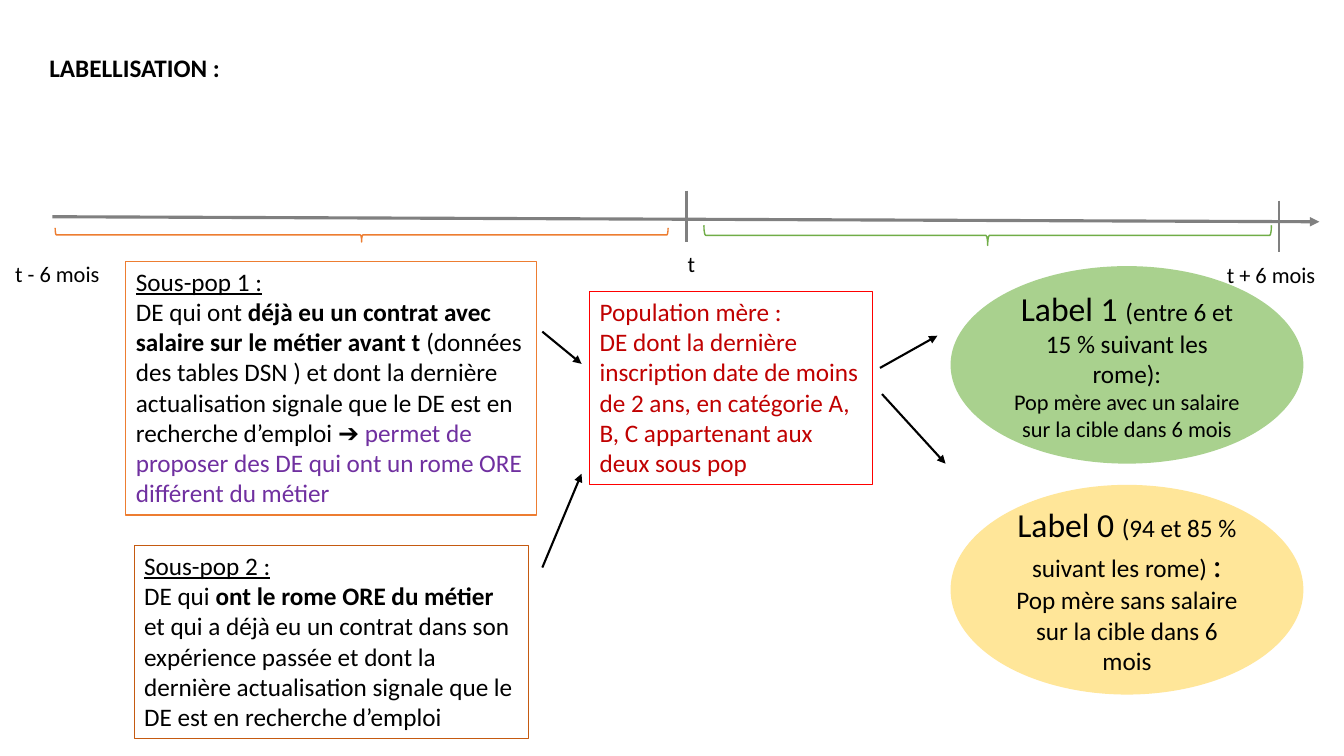
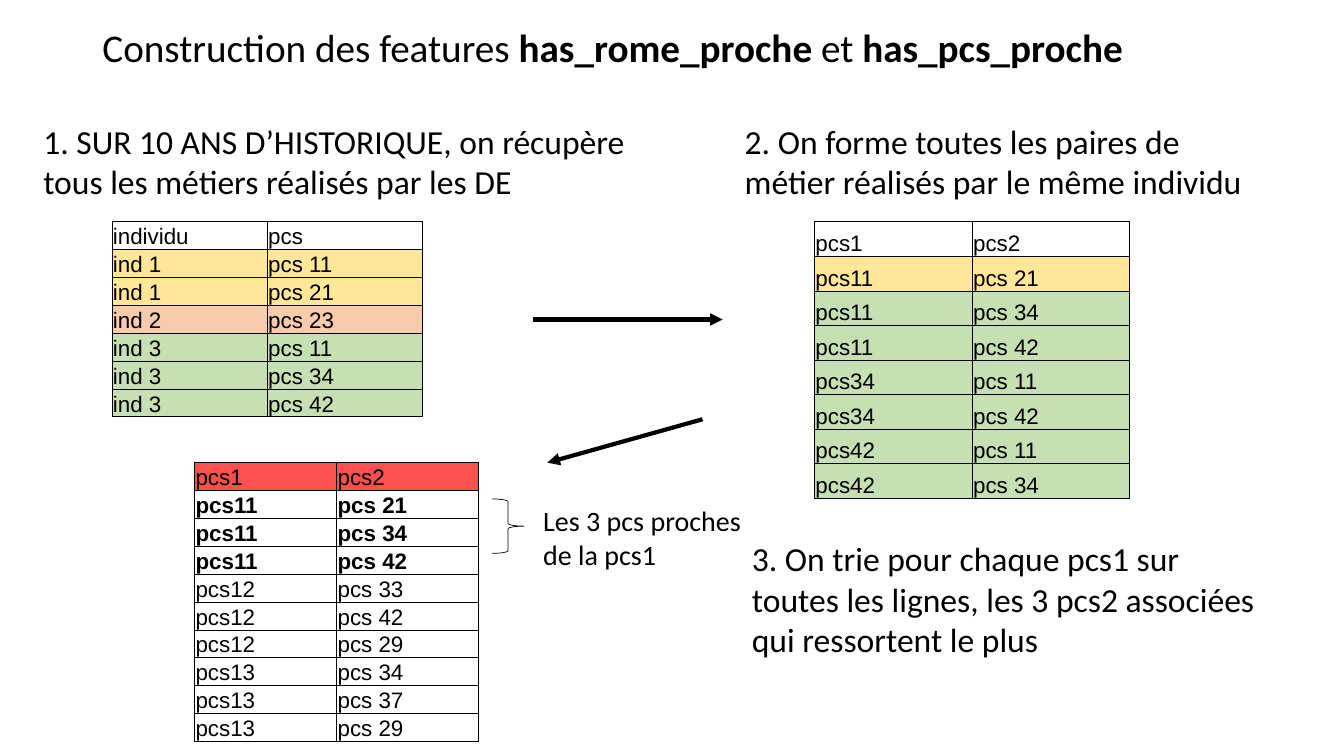
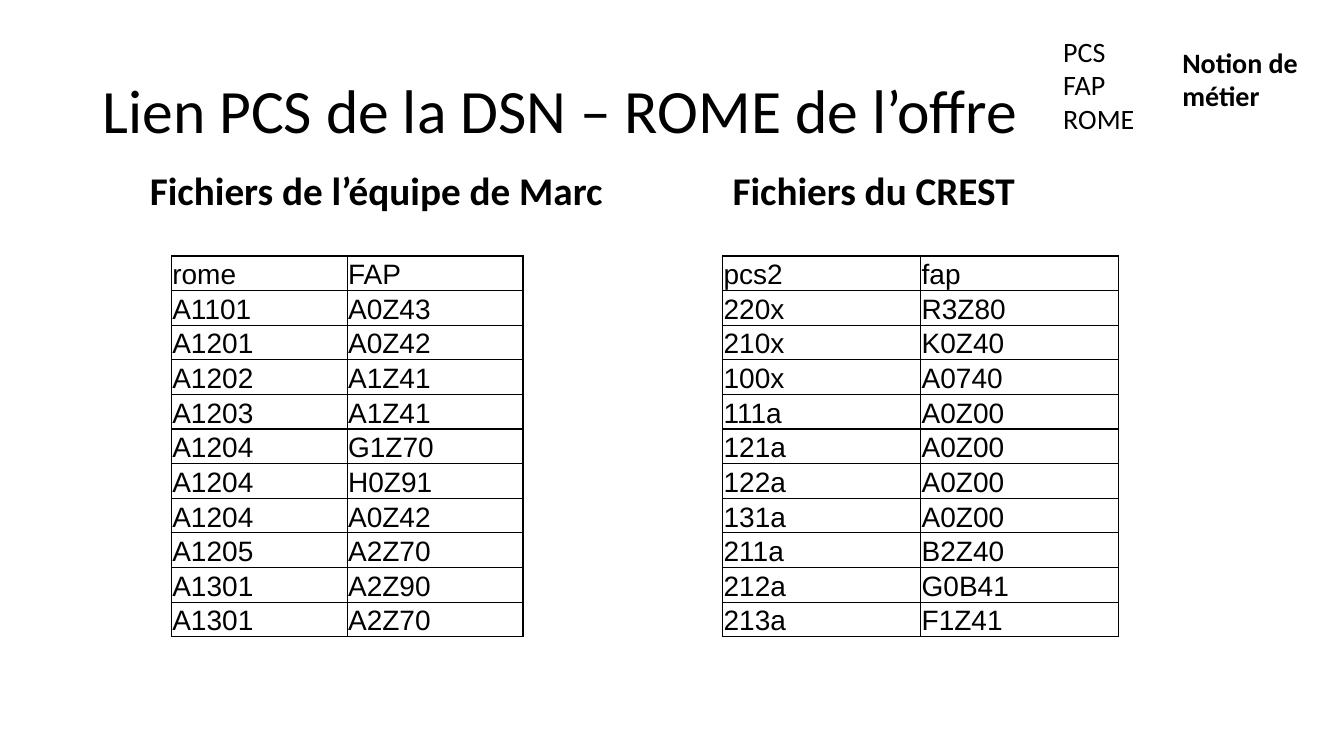
from lxml import etree
from pptx import Presentation
from pptx.dml.color import RGBColor
from pptx.enum import shapes, text
from pptx.oxml import ns
from pptx.util import Pt

BLACK = RGBColor(0x00, 0x00, 0x00)
GREY = RGBColor(0x80, 0x80, 0x80)
RED = RGBColor(0xFF, 0x00, 0x00)
DARK_RED = RGBColor(0xC0, 0x00, 0x00)
PURPLE = RGBColor(0x70, 0x30, 0xA0)
ORANGE = RGBColor(0xED, 0x7D, 0x31)
BROWN = RGBColor(0xC5, 0x5A, 0x11)
GREEN = RGBColor(0x70, 0xAD, 0x47)
MID_GREEN = RGBColor(0xA9, 0xD1, 0x8E)
PALE_GREEN = RGBColor(0xC6, 0xE0, 0xB4)
YELLOW = RGBColor(0xFF, 0xE6, 0x99)
PEACH = RGBColor(0xF8, 0xCB, 0xAD)
CORAL = RGBColor(0xFF, 0x50, 0x50)

BODY_FONT, TABLE_FONT = "Calibri", "Arial"
LEFT, CENTER = text.PP_ALIGN.LEFT, text.PP_ALIGN.CENTER
TOP, MIDDLE, BOTTOM = (text.MSO_ANCHOR.TOP, text.MSO_ANCHOR.MIDDLE,
                       text.MSO_ANCHOR.BOTTOM)
SHAPE = shapes.MSO_SHAPE
TITLE_ONLY = 5


def pts(*values):
    return [Pt(v) for v in values]


# ---- Shared helpers ----
def write(tf, paras, size=18, color=BLACK, bold=False, underline=False,
          font=BODY_FONT, align=LEFT, spacing=None):
    """Each paragraph is a string or a list of (text, overrides) runs."""
    for i, para in enumerate(paras):
        p = tf.paragraphs[0] if i == 0 else tf.add_paragraph()
        p.alignment = align
        if spacing:
            p.line_spacing = spacing
        for words, own in [(para, {})] if isinstance(para, str) else para:
            r = p.add_run()
            r.text = words
            r.font.name = font
            r.font.size = Pt(own.get("size", size))
            r.font.bold = own.get("bold", bold)
            r.font.underline = own.get("underline", underline)
            r.font.color.rgb = own.get("color", color)


def add_text(s, box, *paras, **fmt):
    tf = s.shapes.add_textbox(*pts(*box)).text_frame
    tf.word_wrap = True
    write(tf, paras, **fmt)


def add_slide(prs, box, title, anchor=TOP, **fmt):
    s = prs.slides.add_slide(prs.slide_layouts[TITLE_ONLY])
    sp = s.shapes.title
    sp.left, sp.top, sp.width, sp.height = pts(*box)
    tf = sp.text_frame
    tf.word_wrap = True
    tf.auto_size = text.MSO_AUTO_SIZE.NONE
    tf.vertical_anchor = anchor
    write(tf, [title], **fmt)
    return s


def add_shape(s, kind, box, fill=None, line=None, width=0.75):
    sp = s.shapes.add_shape(kind, *pts(*box))
    sp.shadow.inherit = False
    if fill is None:
        sp.fill.background()
    else:
        sp.fill.solid()
        sp.fill.fore_color.rgb = fill
    if line is None:
        sp.line.fill.background()
    else:
        sp.line.color.rgb = line
        sp.line.width = Pt(width)
    return sp


def add_panel(s, kind, box, paras, anchor=TOP, fill=None, line=None, **fmt):
    tf = add_shape(s, kind, box, fill, line).text_frame
    tf.word_wrap = True
    tf.vertical_anchor = anchor
    write(tf, paras, **fmt)


def add_brace_below(s, box, color):
    """Brace lying under a span, its tip pointing down."""
    left, top, width, height = box
    upright = (left + (width - height) / 2, top + (height - width) / 2,
               height, width)
    add_shape(s, SHAPE.LEFT_BRACE, upright, line=color, width=1).rotation = 270


def add_line(s, start, end, color=BLACK, width=1.5, arrow=True):
    c = s.shapes.add_connector(shapes.MSO_CONNECTOR.STRAIGHT,
                               *pts(*start, *end))
    c.line.color.rgb = color
    c.line.width = Pt(width)
    if arrow:
        etree.SubElement(c.line._get_or_add_ln(), ns.qn("a:tailEnd"),
                         type="triangle")
    etree.SubElement(c._element.spPr, ns.qn("a:effectLst"))


def add_borders(cell, width):
    tc_pr = cell._tc.get_or_add_tcPr()
    for side in ("lnL", "lnR", "lnT", "lnB"):
        ln = etree.SubElement(tc_pr, ns.qn("a:" + side), w=str(Pt(width)))
        fill = etree.SubElement(ln, ns.qn("a:solidFill"))
        etree.SubElement(fill, ns.qn("a:srgbClr"), val=str(BLACK))


def add_table(s, left, top, col_w, row_h, rows, size=16, border=0.5,
              fills=None, bold_rows=()):
    """fills maps a row number to its colour."""
    n_cols = len(rows[0])
    frame = s.shapes.add_table(len(rows), n_cols, *pts(
        left, top, col_w * n_cols, row_h * len(rows)))
    table = frame.table
    table.first_row = table.horz_banding = False
    for column in table.columns:
        column.width = Pt(col_w)
    for i, row in enumerate(rows):
        table.rows[i].height = Pt(row_h)
        for j, value in enumerate(row):
            cell = table.cell(i, j)
            cell.margin_left = cell.margin_right = cell.margin_top = Pt(0.7)
            cell.margin_bottom = 0
            cell.vertical_anchor = BOTTOM
            add_borders(cell, border)
            if fills and i in fills:
                cell.fill.solid()
                cell.fill.fore_color.rgb = fills[i]
            else:
                cell.fill.background()
            write(cell.text_frame, [value], size=size, font=TABLE_FONT,
                  bold=i in bold_rows)


# ---- Slide 1: labelling ----
def timeline(s, left, top, width):
    now, horizon = left + 453, left + 876.5
    add_line(s, (left, top), (left + width, top + 3.6), GREY, 2.25)
    for x, y in ((horizon, top - 11.5), (now, top - 18.7)):
        add_line(s, (x, y), (x, y + 36.7), GREY, 1.5, arrow=False)
    add_brace_below(s, (left + 2, top + 8, 437.8, 10), ORANGE)
    add_brace_below(s, (left + 465.4, top + 6.1, 405.4, 14.4), GREEN)
    for x, y, w, label in ((now - 41.2, 20.2, 89.3, "t"),
                           (left - 36, 27.4, 79.2, "t - 6 mois")):
        add_text(s, (x, top + y, w, 26.6), label, size=16, align=CENTER)


def populations(s):
    head, strong = {"underline": True}, {"bold": True}
    add_panel(s, SHAPE.RECTANGLE, (421.2, 208.1, 202.3, 138.2), [
        "Population mère :",
        "DE dont la dernière inscription date de moins de 2 ans, en catégorie "
        "A, B, C appartenant aux deux sous pop",
    ], line=RED, color=DARK_RED)
    add_panel(s, SHAPE.RECTANGLE, (90, 186.5, 293, 181.4), [
        [("Sous-pop 1 :", head)],
        [("DE qui ont ", {}),
         ("déjà eu un contrat avec salaire sur le métier avant t ", strong),
         ("(données des tables DSN ) et dont la dernière actualisation "
          "signale que le DE est en recherche d’emploi ➔ ", {}),
         ("permet de proposer des DE qui ont un rome ORE différent du métier",
          {"color": PURPLE})],
    ], line=ORANGE)
    add_panel(s, SHAPE.RECTANGLE, (95.8, 389.5, 281.5, 138.2), [
        [("Sous-pop 2 :", head)],
        [("DE qui ", {}), ("ont le rome ORE du métier ", strong),
         ("et qui a déjà eu un contrat dans son expérience passée et dont la "
          "dernière actualisation signale que le DE est en recherche "
          "d’emploi", {})],
    ], line=BROWN)


def labels(s, left, width):
    big = {"size": 24}
    for top, height, fill, paras in (
        (190.1, 141.1, MID_GREEN, [
            [("Label 1 ", big), ("(entre 6 et 15 % suivant les rome):", {})],
            [("Pop mère avec un salaire sur la cible dans 6 mois",
              {"size": 16})]]),
        (346.3, 149.8, YELLOW, [
            [("Label 0 ", big), ("(94 et 85 % suivant les rome) ", {}),
             (":", big)],
            "Pop mère sans salaire sur la cible dans 6 mois"]),
    ):
        add_panel(s, SHAPE.OVAL, (left, top, width, height), paras,
                  anchor=MIDDLE, fill=fill, align=CENTER)


def labelling_slide(prs):
    s = add_slide(prs, (28, 34, 903, 29), "LABELLISATION :", bold=True)
    timeline(s, 37.4, 154.8, 905)
    populations(s)
    labels(s, 679, 252)
    for start, end in (((387.4, 236.9), (415.4, 259.9)),
                       ((387.4, 405.4), (415.4, 338.4)),
                       ((628.6, 262.8), (669.6, 239.8)),
                       ((630, 281.5), (675.4, 331.2))):
        add_line(s, start, end)
    add_text(s, (863.3, 182.9, 89.3, 26.6), "t + 6 mois", size=16,
             align=CENTER)


# ---- Slide 2: building the features ----
def history_step(s, left, top):
    add_text(s, (left, top, 445.7, 65.5),
             "1. SUR 10 ANS D’HISTORIQUE, on récupère tous les métiers "
             "réalisés par les DE", size=24)
    rows = [("individu", "pcs"), ("ind 1", "pcs 11"), ("ind 1", "pcs 21"),
            ("ind 2", "pcs 23"), ("ind 3", "pcs 11"), ("ind 3", "pcs 34"),
            ("ind 3", "pcs 42")]
    by_person = {"ind 1": YELLOW, "ind 2": PEACH, "ind 3": PALE_GREEN}
    fills = {i: by_person[row[0]] for i, row in enumerate(rows) if i}
    add_table(s, left + 56.2, top + 75.6, 110.9, 19.8, rows, fills=fills)


def pairs_step(s, left, top):
    add_text(s, (left, top, 377.3, 65.5),
             "2. On forme toutes les paires de métier réalisés par le même "
             "individu", size=24)
    rows = [("pcs1", "pcs2"), ("pcs11", "pcs 21"), ("pcs11", "pcs 34"),
            ("pcs11", "pcs 42"), ("pcs34", "pcs 11"), ("pcs34", "pcs 42"),
            ("pcs42", "pcs 11"), ("pcs42", "pcs 34")]
    fills = {i: YELLOW if i == 1 else PALE_GREEN for i in range(1, len(rows))}
    add_table(s, left + 56.9, top + 75.6, 112.6, 24.7, rows, fills=fills)


def ranking_step(s, left, top):
    add_text(s, (left + 391, top + 50.4, 377.3, 94.3),
             "3. On trie pour chaque pcs1 sur toutes les lignes, les 3 pcs2 "
             "associées qui ressortent le plus", size=24)
    closest = (("pcs11", (21, 34, 42)), ("pcs12", (33, 42, 29)),
               ("pcs13", (34, 37, 29)))
    rows = [("pcs1", "pcs2")] + [(job, f"pcs {n}") for job, near in closest
                                 for n in near]
    add_table(s, left, top, 101.5, 19.8, rows, fills={0: CORAL},
              bold_rows=(1, 2, 3))
    add_shape(s, SHAPE.RIGHT_BRACE, (left + 212.4, top + 25.9, 23, 38.9),
              line=BLACK, width=0.5)
    add_text(s, (left + 241.9, top + 25.9, 162, 55.4),
             "Les 3 pcs proches de la pcs1", size=20)


def features_slide(prs):
    strong = {"bold": True}
    s = add_slide(prs, (66, 16.6, 828, 45), [
        ("Construction des features ", {}), ("has_rome_proche ", strong),
        ("et ", {}), ("has_pcs_proche", strong)], size=28, spacing=0.9)
    history_step(s, 23.8, 82.8)
    pairs_step(s, 524.9, 82.8)
    ranking_step(s, 139, 330.5)
    add_line(s, (380.9, 228.2), (516.2, 228.2), width=3)
    add_line(s, (501.8, 299.5), (391, 330.5), width=3)


# ---- Slide 3: link between nomenclatures ----
def file_sample(s, left, top, heading, table_left, col_w, row_h, rows):
    add_text(s, (left, top, 339, 41), heading, size=28, bold=True)
    add_table(s, table_left, top + 67.7, col_w, row_h, rows, size=20,
              border=1)


def link_slide(prs):
    s = add_slide(prs, (66, 28.8, 828, 104.4),
                  "Lien PCS de la DSN – ROME de l’offre", anchor=MIDDLE,
                  size=44, spacing=0.9)
    file_sample(s, 516.2, 115.2, "Fichiers du CREST", 516.2, 141.5, 22.9, [
        ("pcs2", "fap"), ("220x", "R3Z80"), ("210x", "K0Z40"),
        ("100x", "A0740"), ("111a", "A0Z00"), ("121a", "A0Z00"),
        ("122a", "A0Z00"), ("131a", "A0Z00"), ("211a", "B2Z40"),
        ("212a", "G0B41"), ("213a", "F1Z41")])
    file_sample(s, 100, 115.2, "Fichiers de l’équipe de Marc", 122.4, 125.6,
                24.6, [
        ("rome", "FAP"), ("A1101", "A0Z43"), ("A1201", "A0Z42"),
        ("A1202", "A1Z41"), ("A1203", "A1Z41"), ("A1204", "G1Z70"),
        ("A1204", "H0Z91"), ("A1204", "A0Z42"), ("A1205", "A2Z70"),
        ("A1301", "A2Z90"), ("A1301", "A2Z70")])
    add_text(s, (752.4, 20.9, 93.6, 79.9), "PCS", "FAP", "ROME", size=20)
    add_text(s, (837.4, 28.8, 107.3, 55.4), "Notion de métier", size=20,
             bold=True)


def main():
    prs = Presentation()
    prs.slide_width, prs.slide_height = pts(960, 540)
    labelling_slide(prs)
    features_slide(prs)
    link_slide(prs)
    prs.save("out.pptx")


if __name__ == "__main__":
    main()
